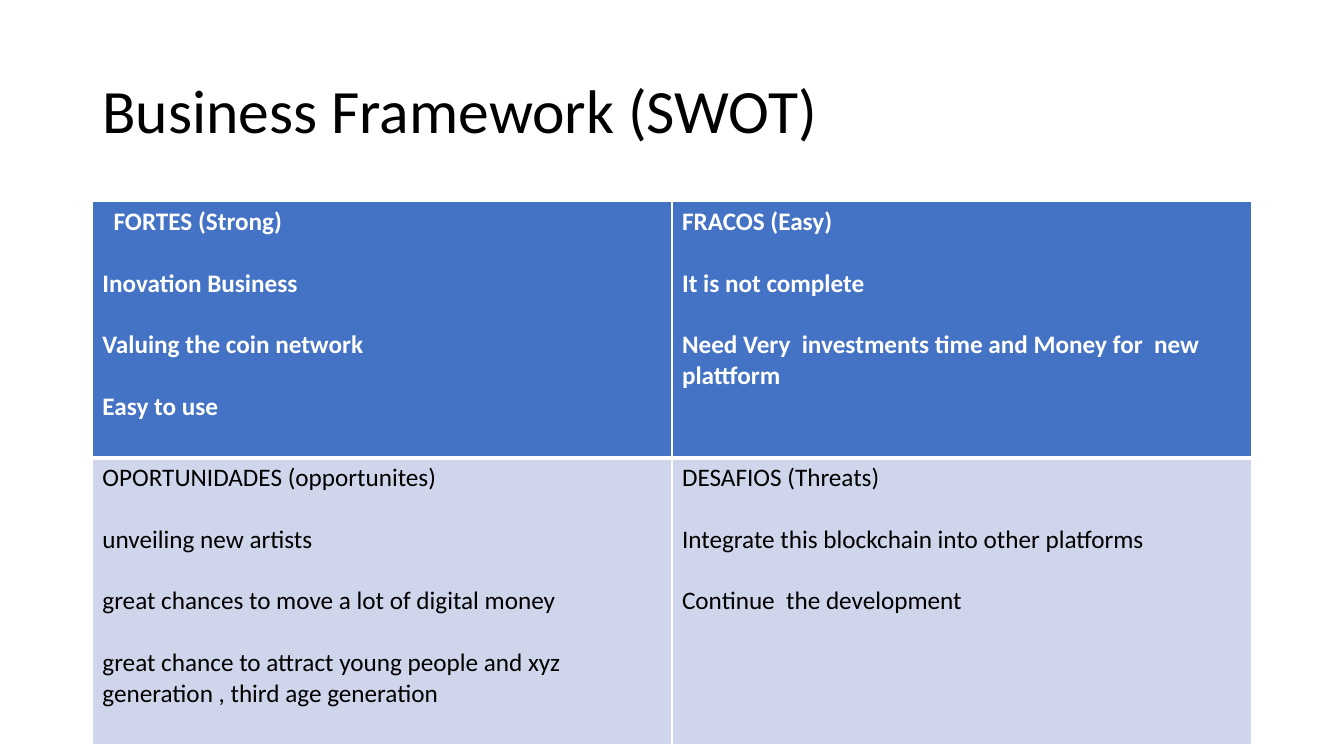
from lxml import etree
from pptx import Presentation
from pptx.dml.color import RGBColor
from pptx.enum import text
from pptx.oxml import ns
from pptx.util import Pt

FONT = "Calibri"
LINE = 22
STRONG = ["FORTES (Strong)", "Inovation Business", "Valuing the coin network", "Easy to use"]
WEAK = ["FRACOS (Easy)", "It is not complete",
        "Need Very  investments time and Money for  new plattform"]
CHANCE = ["OPORTUNIDADES (opportunites)", "unveiling new artists",
          "great chances to move a lot of digital money",
          "great chance to attract young people and xyz generation , third age generation"]
THREAT = ["DESAFIOS (Threats)", "Integrate this blockchain into other platforms",
          "Continue  the development"]
ROWS = [
    (183, "4472C4", "FFFFFF", True, 3, [STRONG, WEAK]),
    (205, "CFD5EA", "000000", False, 1, [CHANCE, THREAT]),
]


def paint(code):
    return RGBColor.from_string(code)


def write(para, words, size, color, bold=False):
    run = para.add_run()
    run.text = words
    font = run.font
    font.name, font.size, font.bold = FONT, Pt(size), bold
    font.color.rgb = paint(color)


def edge(cell, side, width):
    props = cell._tc.get_or_add_tcPr()
    line = etree.SubElement(props, ns.qn("a:" + side), w=str(Pt(width)))
    fill = etree.SubElement(line, ns.qn("a:solidFill"))
    etree.SubElement(fill, ns.qn("a:srgbClr"), val="FFFFFF")


def fill_cell(cell, lines, back, color, bold, base):
    for side, width in (("lnL", 1), ("lnR", 1), ("lnT", 1), ("lnB", base)):
        edge(cell, side, width)
    cell.fill.solid()
    cell.fill.fore_color.rgb = paint(back)
    frame = cell.text_frame
    for i, words in enumerate(lines):
        para = frame.add_paragraph() if i else frame.paragraphs[0]
        para.space_after = Pt(LINE)
        write(para, words, 18, color, bold)


def add_title(slide, left, top, width, height):
    title = slide.shapes.title
    title.left, title.top = Pt(left), Pt(top)
    title.width, title.height = Pt(width), Pt(height)
    frame = title.text_frame
    frame.vertical_anchor = text.MSO_ANCHOR.MIDDLE
    para = frame.paragraphs[0]
    para.alignment = text.PP_ALIGN.LEFT
    para.line_spacing = 0.9
    write(para, "Business Framework (SWOT)", 44, "000000")


def add_swot(slide, left, top, width):
    high = sum(row[0] for row in ROWS)
    grid = slide.shapes.add_table(2, 2, Pt(left), Pt(top), Pt(width), Pt(high)).table
    for col in grid.columns:
        col.width = Pt(width / 2)
    for r, (tall, back, color, bold, base, cells) in enumerate(ROWS):
        grid.rows[r].height = Pt(tall)
        for c, lines in enumerate(cells):
            fill_cell(grid.cell(r, c), lines, back, color, bold, base)
    head = grid.cell(0, 0).text_frame.paragraphs[0]
    head._p.get_or_add_pPr().set("indent", str(Pt(8)))


def main():
    deck = Presentation()
    deck.slide_width, deck.slide_height = Pt(960), Pt(540)
    slide = deck.slides.add_slide(deck.slide_layouts[5])
    add_title(slide, 66, 28.75, 828, 104.4)
    add_swot(slide, 66, 144, 828)
    deck.save("out.pptx")


if __name__ == "__main__":
    main()
